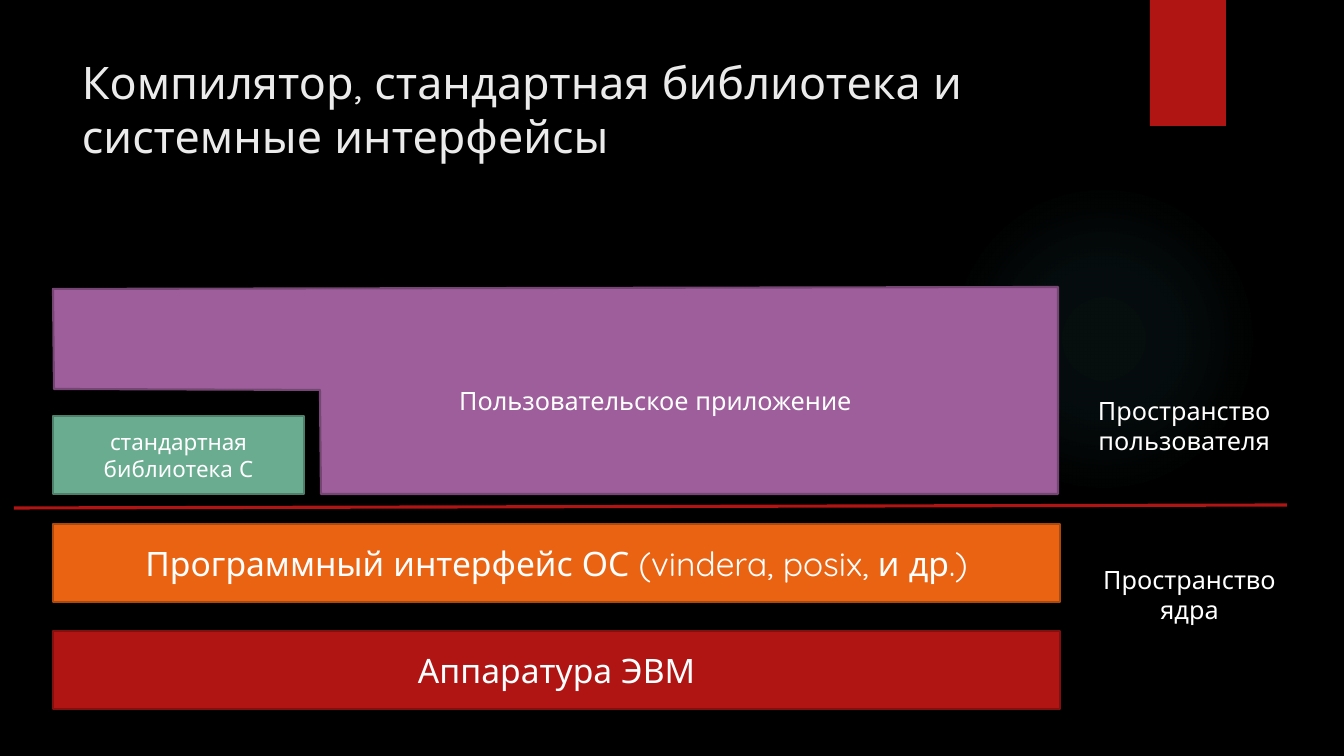
from lxml import etree
from pptx import Presentation
from pptx.dml.color import RGBColor
from pptx.enum.shapes import MSO_CONNECTOR, MSO_SHAPE
from pptx.enum.text import MSO_ANCHOR, MSO_AUTO_SIZE, PP_ALIGN
from pptx.oxml import parse_xml
from pptx.oxml.ns import qn
from pptx.util import Pt

LEFT, CENTER = PP_ALIGN.LEFT, PP_ALIGN.CENTER
TOP, MIDDLE = MSO_ANCHOR.TOP, MSO_ANCHOR.MIDDLE
RECTANGLE, OVAL = MSO_SHAPE.RECTANGLE, MSO_SHAPE.OVAL
STRAIGHT = MSO_CONNECTOR.STRAIGHT
FIT_SHAPE = MSO_AUTO_SIZE.SHAPE_TO_FIT_TEXT

PX = 12192000 / 1344
FONT = "Quicksand"
COLORS = {
    "background": "000000", "title": "EBEBEB", "text": "FFFFFF", "glow": "50B9C1",
    "red": "B01513", "red edge": "82100E",
    "orange": "EA6312", "orange edge": "AD490D",
    "green": "6AAC90", "green edge": "4E7F6B",
    "purple": "9E5E9B", "purple edge": "754673",
}


def write(shape, lines, size, color="text", aligns=(CENTER,), anchor=TOP, wrap=True):
    frame = shape.text_frame
    frame.word_wrap = wrap
    frame.vertical_anchor = anchor
    for i, line in enumerate(lines):
        paragraph = frame.paragraphs[0] if i == 0 else frame.add_paragraph()
        paragraph.alignment = aligns[min(i, len(aligns) - 1)]
        run = paragraph.add_run()
        run.text = line
        run.font.name = FONT
        run.font.size = Pt(size)
        run.font.color.rgb = RGBColor.from_string(COLORS[color])


def paint(shape, color, edge=None):
    shape.shadow.inherit = False
    shape.fill.solid()
    shape.fill.fore_color.rgb = RGBColor.from_string(COLORS[color])
    if edge:
        shape.line.color.rgb = RGBColor.from_string(COLORS[edge])
        shape.line.width = Pt(1.5)
    else:
        shape.line.fill.background()


prs = Presentation()
prs.slide_width, prs.slide_height = round(1344 * PX), round(756 * PX)
slide = prs.slides.add_slide(prs.slide_layouts[6])
slide.background.fill.solid()
slide.background.fill.fore_color.rgb = RGBColor.from_string(COLORS["background"])
shapes = slide.shapes

# Faint round glow
glow = shapes.add_shape(OVAL, *[round(v * PX) for v in (949, 184, 310, 310)])
paint(glow, "glow")
stops = "".join(
    f'<a:gs pos="{position}000"><a:srgbClr val="{COLORS["glow"]}">'
    f'<a:alpha val="{alpha}000"/></a:srgbClr></a:gs>'
    for position, alpha in ((0, 7), (36, 6), (69, 0)))
gradient = parse_xml(
    '<a:gradFill xmlns:a="http://schemas.openxmlformats.org/drawingml/2006/main">'
    f'<a:gsLst>{stops}</a:gsLst><a:path path="circle">'
    '<a:fillToRect l="50000" t="50000" r="50000" b="50000"/></a:path></a:gradFill>')
solid = glow.element.spPr.find(qn("a:solidFill"))
glow.element.spPr.replace(solid, gradient)

# Red tab at the top edge
tab = shapes.add_shape(RECTANGLE, *[round(v * PX) for v in (1150, 0, 76, 126)])
paint(tab, "red")

# Title
title = shapes.add_textbox(*[round(v * PX) for v in (72, 50, 1037, 120)])
write(title, ["Компилятор, стандартная библиотека и системные интерфейсы"],
      32, "title", (LEFT,))

# Stacked layers, from the hardware up
layers = [
    ("Аппаратура ЭВМ", 631, 1007, 24, "red"),
    ("Программный интерфейс ОС (vindera, posix, и др.)", 524, 1007, 24, "orange"),
    ("стандартная библиотека С", 416, 251, 16, "green"),
]
for name, top, width, size, color in layers:
    layer = shapes.add_shape(RECTANGLE, *[round(v * PX) for v in (53, top, width, 78)])
    paint(layer, color, f"{color} edge")
    write(layer, [name], size, anchor=MIDDLE)

# User application, stepped around the standard library
outline = shapes.build_freeform(53, 289, scale=PX)
outline.add_line_segments([(1058, 287), (1058, 494), (321, 494), (320, 390), (54, 389)])
application = outline.convert_to_shape()
paint(application, "purple", "purple edge")

# Border between user space and kernel space
border = shapes.add_connector(STRAIGHT, *[round(v * PX) for v in (14, 508, 1287, 505)])
border.line.color.rgb = RGBColor.from_string(COLORS["red"])
border.line.width = Pt(2.25)
etree.SubElement(border.element.spPr, qn("a:effectLst"))

# Captions
captions = [
    (["Пользовательское приложение"], (445, 380, 421, 40), (CENTER,)),
    (["Пространство", "пользователя"], (1088, 390, 203, 72), (LEFT, CENTER)),
    (["Пространство", "ядра"], (1088, 559, 203, 72), (CENTER,)),
]
for lines, place, aligns in captions:
    caption = shapes.add_textbox(*[round(v * PX) for v in place])
    write(caption, lines, 18, aligns=aligns, wrap=False)
    caption.text_frame.auto_size = FIT_SHAPE

prs.save("out.pptx")
